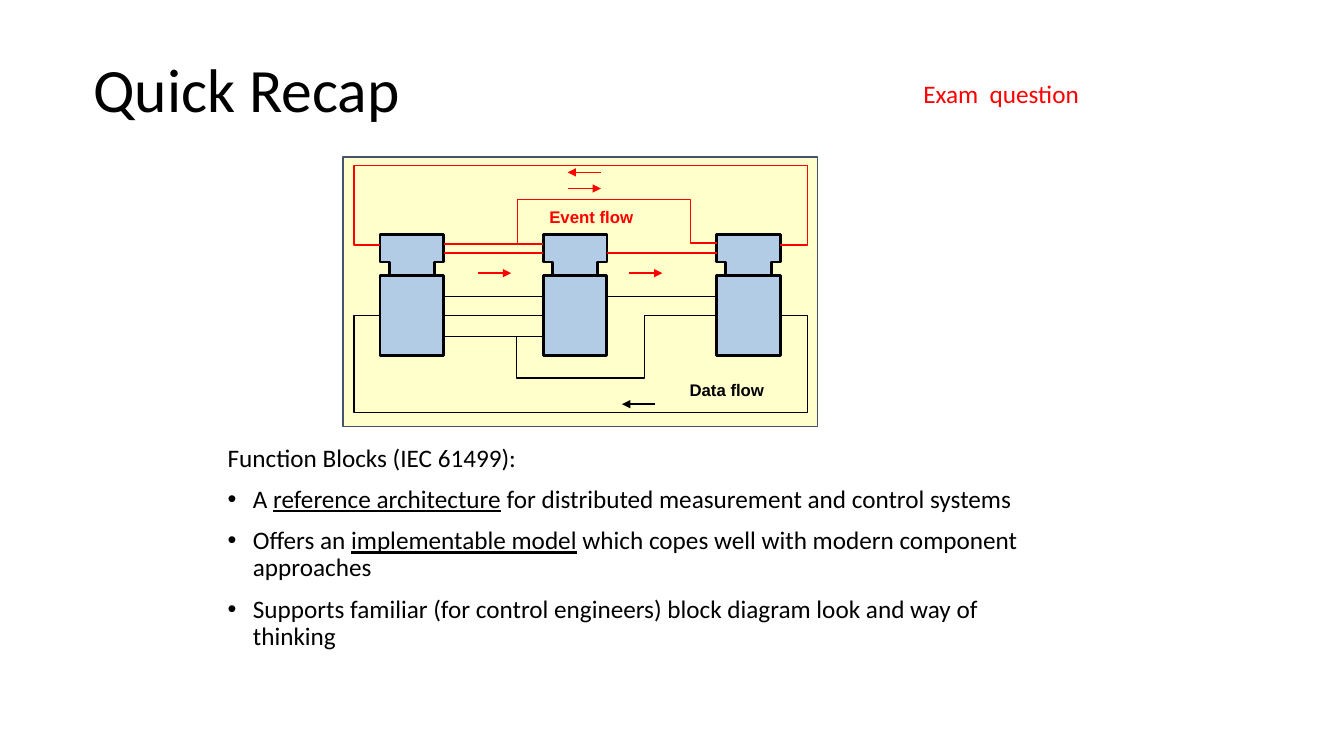
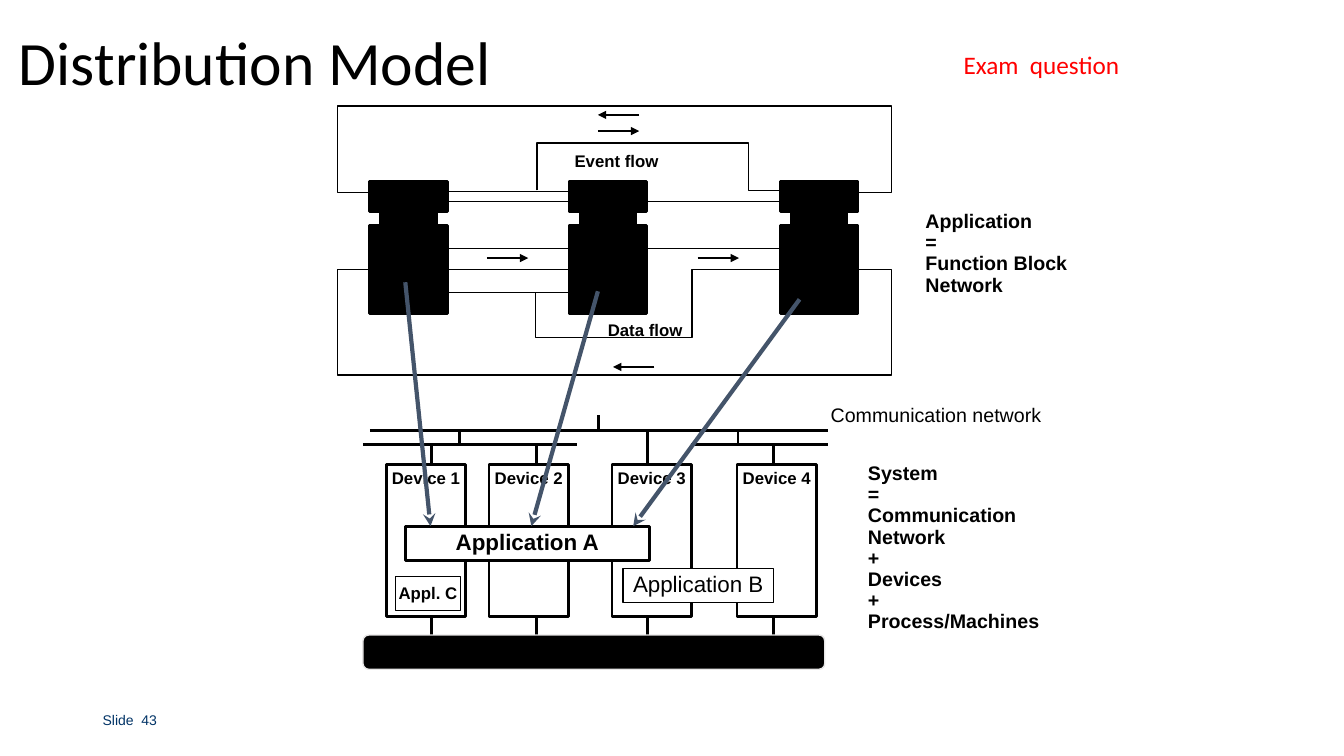
"""Build two slides on function blocks and their distribution model."""
from lxml import etree
from pptx import Presentation
from pptx.dml.color import RGBColor
from pptx.enum import shapes as kinds, text as styles
from pptx.oxml import ns
from pptx.util import Inches, Pt

BLACK = RGBColor(0x00, 0x00, 0x00)
WHITE = RGBColor(0xFF, 0xFF, 0xFF)
RED = RGBColor(0xFF, 0x00, 0x00)
CREAM = RGBColor(0xFF, 0xFF, 0xCC)
SKY = RGBColor(0xB2, 0xCC, 0xE6)
SLATE = RGBColor(0x44, 0x54, 0x6A)
NAVY = RGBColor(0x00, 0x33, 0x66)
SILVER = RGBColor(0xE7, 0xE6, 0xE6)
RECT = kinds.MSO_SHAPE.RECTANGLE
ROUNDED = kinds.MSO_SHAPE.ROUNDED_RECTANGLE
CENTER = styles.PP_ALIGN.CENTER
MIDDLE = styles.MSO_ANCHOR.MIDDLE

RECAP_LEAD = "Function Blocks (IEC 61499):"
RECAP_POINTS = [
    ("A ", "reference architecture", " for distributed measurement and control systems"),
    ("Offers an ", "implementable model", " which copes well with modern component approaches"),
    ("Supports familiar (for control engineers) block diagram look and way of thinking", "", ""),
]

BLOCK_LEFTS = [0.26, 1.88, 3.6]
BLOCK_WIDTH, NECK_INSET = 0.63, 0.09
HEAD_TOP, HEAD_BOTTOM, BODY_TOP, BODY_HEIGHT = 0.69, 0.96, 1.09, 0.8
BODY_MIDDLE = BODY_TOP + BODY_HEIGHT / 2
WIRES = [
    ("event", 0, 0.78), ("event", 0, 0.87), ("event", 1, 0.87),
    ("data", 0, 1.3), ("data", 1, 1.3), ("data", 0, BODY_MIDDLE), ("data", 0, 1.7),
]
ROUTES = [
    ("event", [(1.62, 0.77), (1.62, 0.34), (3.34, 0.34), (3.34, 0.77), (3.6, 0.77)]),
    ("data", [(1.61, 1.7), (1.61, 2.11), (2.88, 2.11), (2.88, 1.49), (3.6, 1.49)]),
    ("data", [(0.26, 1.49), (0, 1.49), (0, 2.45), (4.5, 2.45), (4.5, 1.49), (4.23, 1.49)]),
    ("event", [(0.26, 0.79), (0, 0.79), (0, 0), (4.5, 0), (4.5, 0.79), (4.23, 0.79)]),
]

RECAP_NETWORK = {
    "origin": (3.51, 1.64), "scale": (1, 1), "fill": SKY,
    "colors": {"event": RED, "data": BLACK},
    "labels": [("event", "Event flow", 5.35, 2.02, 1.04), ("data", "Data flow", 6.74, 3.74, 0.95)],
    "arrow_length": 0.33,
    "arrows": [("event", 5.63, 1.87, "right"), ("event", 5.63, 1.71, "left"),
               ("event", 4.74, 2.71, "right"), ("event", 6.24, 2.71, "right"),
               ("data", 6.17, 4.01, "left")],
}
MODEL_NETWORK = {
    "origin": (3.35, 1.05), "scale": (1.22, 1.09), "fill": BLACK,
    "colors": {"event": BLACK, "data": BLACK},
    "labels": [("event", "Event flow", 5.6, 1.47, 1.04), ("data", "Data flow", 5.93, 3.14, 0.95)],
    "arrow_length": 0.41,
    "arrows": [("event", 5.93, 1.3, "right"), ("event", 5.93, 1.14, "left"),
               ("data", 4.83, 2.56, "right"), ("data", 6.92, 2.56, "right"),
               ("data", 6.08, 3.64, "left")],
}

UPPER_BUS, LOWER_BUS = 4.27, 4.41
BUSES = [(3.67, 8.21, UPPER_BUS), (3.6, 5.72, LOWER_BUS), (6.85, 8.21, LOWER_BUS)]
BUS_LINKS = [(5.94, 4.12, UPPER_BUS), (4.56, UPPER_BUS, LOWER_BUS), (7.32, UPPER_BUS, LOWER_BUS)]
DEVICE_TOP, DEVICE_HEIGHT, MACHINE_TOP = 4.61, 1.51, 6.3
DEVICES = [
    ("Device 1", 3.83, 4.28, LOWER_BUS), ("Device 2", 4.85, 5.32, LOWER_BUS),
    ("Device 3", 6.07, 6.42, UPPER_BUS), ("Device 4", 7.31, 7.67, LOWER_BUS),
]
APPLICATIONS = [
    ("Application A", 4.02, 5.22, 2.42, 2.25, 16, True),
    ("Appl. C", 3.92, 5.72, 0.65, 1, 12, True),
    ("Application B", 6.18, 5.64, 1.49, 1, 16, False),
]
MAPPINGS = [((4.02, 2.8), (4.27, 5.22)), ((5.93, 2.89), (5.27, 5.22)), ((7.93, 2.97), (6.28, 5.22))]
DEFINITIONS = [
    (9.08, 2.05, 1.61, 0.95, [["Application", "="], ["Function Block", "Network"]]),
    (8.51, 4.55, 1.91, 1.8, [["System", "=", "Communication", "Network", "+", "Devices", "+"],
                             ["Process/Machines"]]),
]


def style_text(paragraph, size, color, face="Arial", bold=False, spacing=0.9):
    paragraph.line_spacing = spacing
    font = paragraph.font
    font.name, font.size, font.bold = face, Pt(size), bold
    font.color.rgb = color


def add_text(slide, box, paragraphs, size, color, wrap=False, anchor=None, **style):
    frame = slide.shapes.add_textbox(*map(Inches, box)).text_frame
    frame.word_wrap = wrap
    frame.vertical_anchor = anchor
    for index, lines in enumerate(paragraphs):
        paragraph = frame.add_paragraph() if index else frame.paragraphs[0]
        paragraph.text = "\v".join(lines)
        style_text(paragraph, size, color, **style)


def paint(shape, fill, line, width):
    shape.shadow.inherit = False
    if fill is None:
        shape.fill.background()
    else:
        shape.fill.solid()
        shape.fill.fore_color.rgb = fill
    shape.line.color.rgb = line
    shape.line.width = Pt(width)
    return shape


def add_box(slide, box, fill, line, width, preset=RECT):
    return paint(slide.shapes.add_shape(preset, *map(Inches, box)), fill, line, width)


def add_labelled_box(slide, box, label, width, size, bold, anchor, margin=None):
    shape = add_box(slide, box, WHITE, BLACK, width)
    frame = shape.text_frame
    frame.word_wrap = False
    frame.vertical_anchor = anchor
    if margin is not None:
        frame.margin_left = frame.margin_right = frame.margin_top = frame.margin_bottom = margin
    paragraph = frame.paragraphs[0]
    paragraph.text = label
    paragraph.alignment = CENTER
    style_text(paragraph, size, BLACK, bold=bold)


def add_outline(slide, points, line, width, fill=None, closed=False):
    start, *rest = [tuple(map(Inches, point)) for point in points]
    builder = slide.shapes.build_freeform(*start)
    builder.add_line_segments(rest, close=closed)
    return paint(builder.convert_to_shape(), fill, line, width)


def add_line(slide, start, end, color, width=1, arrowhead=None):
    line = slide.shapes.add_connector(kinds.MSO_CONNECTOR.STRAIGHT, *map(Inches, start + end))
    line.line.color.rgb = color
    line.line.width = Pt(width)
    if arrowhead:
        etree.SubElement(line.line._get_or_add_ln(), ns.qn("a:tailEnd"), type=arrowhead)
    etree.SubElement(line._element.spPr, ns.qn("a:effectLst"))
    return line


def add_network(slide, network):
    (left, top), (across, down) = network["origin"], network["scale"]
    colors, fill = network["colors"], network["fill"]

    def place(x, y):
        return left + x * across, top + y * down

    bodies = []
    for x in BLOCK_LEFTS:
        right = x + BLOCK_WIDTH
        neck_left, neck_right = x + NECK_INSET, right - NECK_INSET
        head = [(neck_left, BODY_TOP), (neck_left, HEAD_BOTTOM), (x, HEAD_BOTTOM), (x, HEAD_TOP),
                (right, HEAD_TOP), (right, HEAD_BOTTOM), (neck_right, HEAD_BOTTOM),
                (neck_right, BODY_TOP)]
        add_outline(slide, [place(*point) for point in head], BLACK, 2, fill, closed=True)
        body = place(x, BODY_TOP) + (BLOCK_WIDTH * across, BODY_HEIGHT * down)
        bodies.append(add_box(slide, body, fill, BLACK, 2))

    for flow, source, y in WIRES:
        start = place(BLOCK_LEFTS[source] + BLOCK_WIDTH, y)
        wire = add_line(slide, start, place(BLOCK_LEFTS[source + 1], y), colors[flow])
        if y == BODY_MIDDLE:
            wire.begin_connect(bodies[source], 3)
            wire.end_connect(bodies[source + 1], 1)
    for flow, points in ROUTES:
        add_outline(slide, [place(*point) for point in points], colors[flow], 1)
    for flow, x, y, way in network["arrows"]:
        ends = [(x, y), (x + network["arrow_length"], y)]
        if way == "left":
            ends.reverse()
        add_line(slide, *ends, colors[flow], arrowhead="triangle")
    for flow, label, x, y, width in network["labels"]:
        add_text(slide, (x, y, width, 0.28), [[label]], 12, colors[flow], bold=True)


def add_slide(deck, title, title_box, note_left, note_top):
    slide = deck.slides.add_slide(deck.slide_layouts[6])
    add_text(slide, title_box, [[title]], 44, BLACK, wrap=True, anchor=MIDDLE, face="Calibri")
    add_text(slide, (note_left, note_top, 3.1, 0.4), [["Exam  question"]], 18, RED,
             wrap=True, face="Calibri", spacing=1.0)
    return slide


def add_recap_points(slide):
    frame = slide.shapes.add_textbox(*map(Inches, (2.16, 4.37, 8.11, 2.4))).text_frame
    frame.word_wrap = True
    lead = frame.paragraphs[0]
    lead.text = RECAP_LEAD
    style_text(lead, 18, BLACK, "Calibri")
    for before, key_term, after in RECAP_POINTS:
        point = frame.add_paragraph()
        layout = point._p.get_or_add_pPr()
        layout.set("marL", str(Inches(0.25)))
        layout.set("indent", str(-Inches(0.25)))
        etree.SubElement(layout, ns.qn("a:buFont"), typeface="Arial")
        etree.SubElement(layout, ns.qn("a:buChar"), char="•")
        for part in filter(None, (before, key_term, after)):
            run = point.add_run()
            run.text = part
            if part == key_term:
                run.font.underline = True
        point.space_before = Pt(10)
        style_text(point, 18, BLACK, "Calibri")


def build_recap(deck):
    slide = add_slide(deck, "Quick Recap", (0.83, 0.19, 11.5, 1.45), 9.06, 0.73)
    add_recap_points(slide)
    add_box(slide, (3.4, 1.56, 4.71, 2.67), CREAM, SLATE, 1)
    add_network(slide, RECAP_NETWORK)


def build_model(deck):
    slide = add_slide(deck, "Distribution Model", (0.09, -0.08, 13.24, 1.45), 9.46, 0.44)
    add_text(slide, (0.92, 6.95, 3, 0.4), [["Slide  43"]], 10, NAVY, wrap=True, anchor=MIDDLE)
    add_network(slide, MODEL_NETWORK)
    add_text(slide, (8.14, 3.97, 2.3, 0.31), [["Communication network"]], 14, BLACK)
    for left, right, y in BUSES:
        add_line(slide, (left, y), (right, y), BLACK, 2)
    for x, top, bottom in BUS_LINKS:
        add_line(slide, (x, top), (x, bottom), BLACK, 2)
    for label, left, link_x, bus in DEVICES:
        add_line(slide, (link_x, bus), (link_x, DEVICE_TOP), BLACK, 2)
        add_line(slide, (link_x, DEVICE_TOP + DEVICE_HEIGHT), (link_x, MACHINE_TOP), BLACK, 2)
        add_labelled_box(slide, (left, DEVICE_TOP, 0.79, DEVICE_HEIGHT), label, 2, 12, True,
                         styles.MSO_ANCHOR.TOP)
    for label, left, top, width, line, size, bold in APPLICATIONS:
        add_labelled_box(slide, (left, top, width, 0.34), label, line, size, bold, MIDDLE, 0)
    for start, end in MAPPINGS:
        add_line(slide, start, end, SLATE, 3, "stealth")
    add_box(slide, (3.6, MACHINE_TOP, 4.58, 0.34), BLACK, SILVER, 1, ROUNDED)
    for *box, paragraphs in DEFINITIONS:
        add_text(slide, box, paragraphs, 14, BLACK, bold=True)


def main():
    deck = Presentation()
    deck.slide_width, deck.slide_height = Inches(13.33), Inches(7.5)
    build_recap(deck)
    build_model(deck)
    deck.save("out.pptx")


if __name__ == "__main__":
    main()
